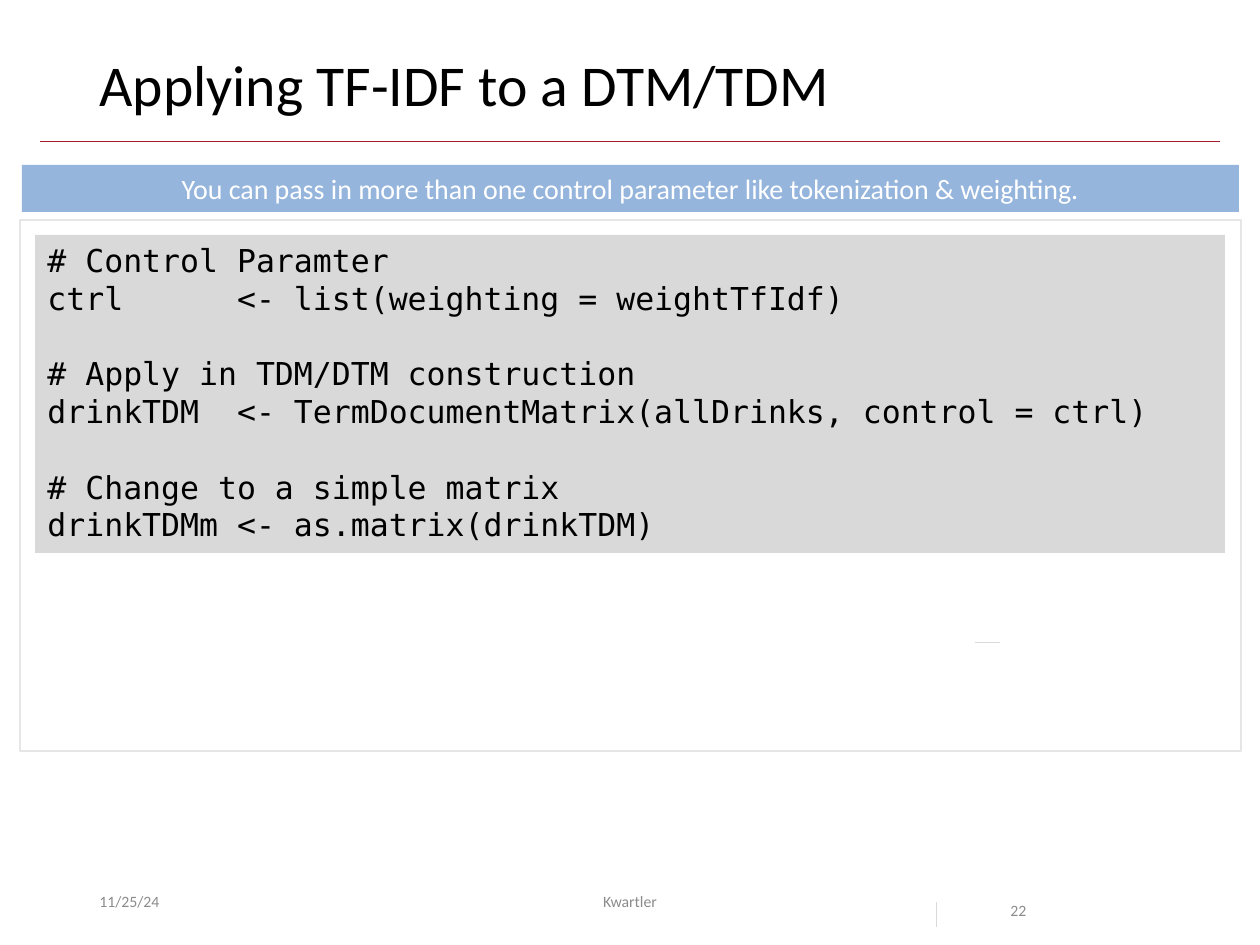
from pptx import Presentation
from pptx.dml.color import RGBColor
from pptx.enum.shapes import MSO_CONNECTOR, MSO_SHAPE
from pptx.enum.text import MSO_ANCHOR, PP_ALIGN
from pptx.oxml.ns import qn
from pptx.util import Emu, Pt
from lxml.etree import SubElement

BLACK = RGBColor(0x00, 0x00, 0x00)
WHITE = RGBColor(0xFF, 0xFF, 0xFF)
GRAY = RGBColor(0x8C, 0x8C, 0x8C)
PALE = RGBColor(0xD9, 0xD9, 0xD9)
EDGE = RGBColor(0xE7, 0xE6, 0xE6)
BLUE = RGBColor(0x95, 0xB5, 0xDC)
RED = RGBColor(0xA5, 0x1C, 0x30)

TITLE = "Applying TF-IDF to a DTM/TDM"
BANNER = "You can pass in more than one control parameter like tokenization & weighting."
CODE = [
    ("# Control Paramter",
     "ctrl      <- list(weighting = weightTfIdf)"),
    ("# Apply in TDM/DTM construction",
     "drinkTDM  <- TermDocumentMatrix(allDrinks, control = ctrl)"),
    ("# Change to a simple matrix",
     "drinkTDMm <- as.matrix(drinkTDM)"),
]
FOOTER = [
    ("11/25/24", 87, 284, PP_ALIGN.LEFT, None),
    ("Kwartler", 417, 426, PP_ALIGN.CENTER, None),
    ("22", 998, 118, PP_ALIGN.LEFT, 2.0),
]
RULES = [
    ((40, 141), (1220, 141), RED),
    ((936, 902), (936, 927), PALE),
    ((975, 642), (1000, 642), PALE),
]


def px(n):
    """Turn px into EMU."""
    return Emu(round(n * 914400 / 126))


def write(shape, groups, size=9, color=BLACK, font="Calibri",
          align=PP_ALIGN.LEFT, anchor=MSO_ANCHOR.TOP, lead=None, gap=0):
    """Fill a shape with groups of lines, a gap between groups."""
    frame = shape.text_frame
    frame.word_wrap = True
    frame.vertical_anchor = anchor
    para = frame.paragraphs[0]
    for i, group in enumerate(groups):
        for j, line in enumerate(group):
            if i or j:
                para = frame.add_paragraph()
            if i and not j:
                para.space_before = Pt(gap)
            para.alignment = align
            if lead:
                para.line_spacing = lead
            run = para.add_run()
            run.text = line
            run.font.size = Pt(size)
            run.font.name = font
            run.font.color.rgb = color


def box(slide, x, y, w, h, fill, edge=None):
    """Draw a plain rectangle."""
    shape = slide.shapes.add_shape(MSO_SHAPE.RECTANGLE, px(x), px(y), px(w), px(h))
    shape.shadow.inherit = False
    shape.fill.solid()
    shape.fill.fore_color.rgb = fill
    if edge:
        shape.line.color.rgb = edge
        shape.line.width = Pt(0.75)
    else:
        shape.line.fill.background()
    return shape


def label(slide, x, y, w, h, text, **style):
    """Place a text box."""
    shape = slide.shapes.add_textbox(px(x), px(y), px(w), px(h))
    write(shape, [[text]], **style)


def rule(slide, start, end, color):
    """Draw a thin straight line."""
    line = slide.shapes.add_connector(
        MSO_CONNECTOR.STRAIGHT, *map(px, start), *map(px, end))
    line.line.color.rgb = color
    line.line.width = Pt(0.5)
    SubElement(line._element.spPr, qn("a:effectLst"))


def main():
    """Build the slide."""
    deck = Presentation()
    deck.slide_width, deck.slide_height = px(1260), px(945)
    slide = deck.slides.add_slide(deck.slide_layouts[6])
    label(slide, 87, 50, 1086, 82, TITLE, size=33, lead=0.9)
    for text, x, w, align, lead in FOOTER:
        label(slide, x, 876, w, 50, text, color=GRAY, align=align,
              anchor=MSO_ANCHOR.MIDDLE, lead=lead)
    box(slide, 20, 220, 1221, 531, WHITE, EDGE)
    code = box(slide, 35, 235, 1190, 318, PALE)
    write(code, CODE, size=18, font="DejaVu Sans Mono", gap=21.5)
    banner = box(slide, 22, 165, 1217, 47, BLUE)
    write(banner, [[BANNER]], size=16, color=WHITE, align=PP_ALIGN.CENTER)
    for start, end, color in RULES:
        rule(slide, start, end, color)
    deck.save("out.pptx")


if __name__ == "__main__":
    main()
